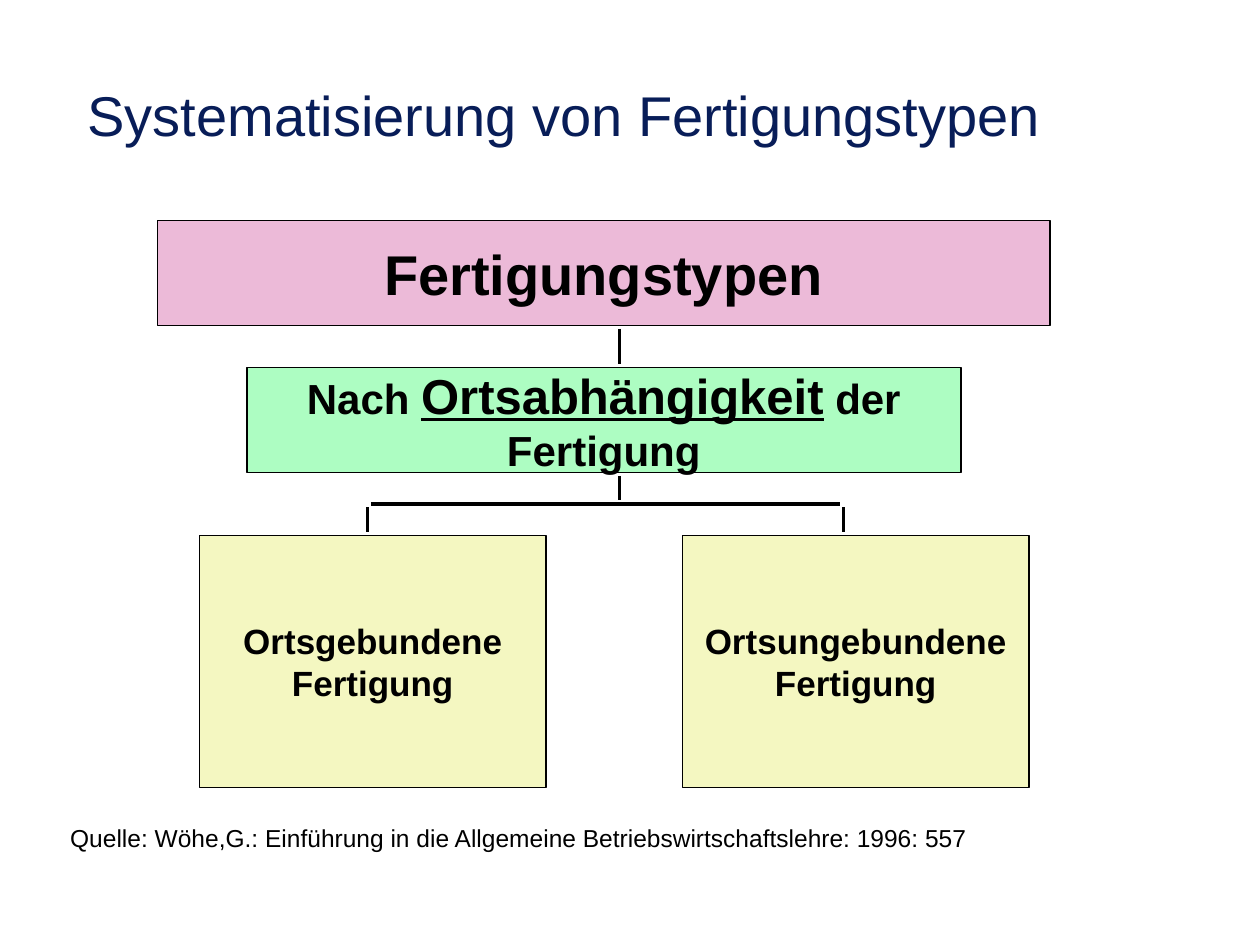
from lxml import etree
from pptx import Presentation
from pptx.dml.color import RGBColor
from pptx.enum import shapes, text
from pptx.oxml import ns
from pptx.util import Pt

BLACK, NAVY = "000000", "081D58"
PINK, GREEN, YELLOW = "ECBAD8", "ADFDC2", "F4F7C1"

# Each paragraph is a list of spans: (text, size, underlined)
TITLE = [[("Systematisierung von Fertigungstypen", 32, False)]]
SOURCE = [[("Quelle: Wöhe,G.: Einführung in die Allgemeine "
            "Betriebswirtschaftslehre: 1996: 557", 14, False)]]
BOXES = [  # left, top, width, height, fill, paragraphs
    (90, 126, 510, 60, PINK, [[("Fertigungstypen", 32, False)]]),
    (141, 210, 408, 60, GREEN, [
        [("Nach ", 24, False), ("Ortsabhängigkeit", 28, True), (" der", 24, False)],
        [("Fertigung", 24, False)]]),
    (114, 306, 198, 144, YELLOW, [
        [("Ortsgebundene", 20, False)], [("Fertigung", 20, False)]]),
    (390, 306, 198, 144, YELLOW, [
        [("Ortsungebundene", 20, False)], [("Fertigung", 20, False)]]),
]
TRUNK_X, BRANCH_Y, BRANCH_XS = 354, 288, (210, 482)
GAP = 2  # space between a line's end and what it points at


def rgb(color):
    return RGBColor.from_string(color)


def write(shape, paragraphs, color=BLACK, bold=False, align=text.PP_ALIGN.LEFT):
    frame = shape.text_frame
    for index, spans in enumerate(paragraphs):
        para = frame.add_paragraph() if index else frame.paragraphs[0]
        para.alignment = align
        for words, size, underlined in spans:
            span = para.add_run()
            span.text = words
            font = span.font
            font.name, font.size, font.bold = "Arial", Pt(size), bold
            font.underline = underlined
            font.color.rgb = rgb(color)


def add_box(slide, left, top, width, height, fill, paragraphs):
    box = slide.shapes.add_shape(shapes.MSO_SHAPE.RECTANGLE,
                                 Pt(left), Pt(top), Pt(width), Pt(height))
    box.shadow.inherit = False
    box.fill.solid()
    box.fill.fore_color.rgb = rgb(fill)
    box.line.color.rgb = rgb(BLACK)
    box.line.width = Pt(1)
    box.text_frame.word_wrap = False
    box.text_frame.vertical_anchor = text.MSO_ANCHOR.MIDDLE
    write(box, paragraphs, bold=True, align=text.PP_ALIGN.CENTER)


def add_line(slide, x1, y1, x2, y2):
    line = slide.shapes.add_connector(shapes.MSO_CONNECTOR.STRAIGHT,
                                      Pt(x1), Pt(y1), Pt(x2), Pt(y2))
    line.line.color.rgb = rgb(BLACK)
    line.line.width = Pt(2)
    etree.SubElement(line._element.spPr, ns.qn("a:effectLst"))


def main():
    deck = Presentation()
    deck.slide_width, deck.slide_height = Pt(720), Pt(540)
    slide = deck.slides.add_slide(deck.slide_layouts[6])

    title = slide.shapes.add_textbox(Pt(34), Pt(30), Pt(702), Pt(58))
    title.text_frame.word_wrap = True
    title.text_frame.vertical_anchor = text.MSO_ANCHOR.BOTTOM
    title.text_frame.margin_left = Pt(16)
    write(title, TITLE, NAVY)

    source = slide.shapes.add_textbox(Pt(33), Pt(467), Pt(528), Pt(24))
    source.text_frame.word_wrap = False
    source.text_frame.auto_size = text.MSO_AUTO_SIZE.SHAPE_TO_FIT_TEXT
    write(source, SOURCE)

    for box in BOXES:
        add_box(slide, *box)

    root, criterion, leaf = BOXES[:3]
    root_bottom = root[1] + root[3]
    criterion_bottom = criterion[1] + criterion[3]
    add_line(slide, TRUNK_X, root_bottom + GAP, TRUNK_X, criterion[1] - GAP)
    add_line(slide, TRUNK_X, criterion_bottom + GAP, TRUNK_X, BRANCH_Y - GAP)
    add_line(slide, BRANCH_XS[0] + GAP, BRANCH_Y, BRANCH_XS[1] - GAP, BRANCH_Y)
    for x in BRANCH_XS:
        add_line(slide, x, BRANCH_Y + GAP, x, leaf[1] - GAP)

    deck.save("out.pptx")


if __name__ == "__main__":
    main()
